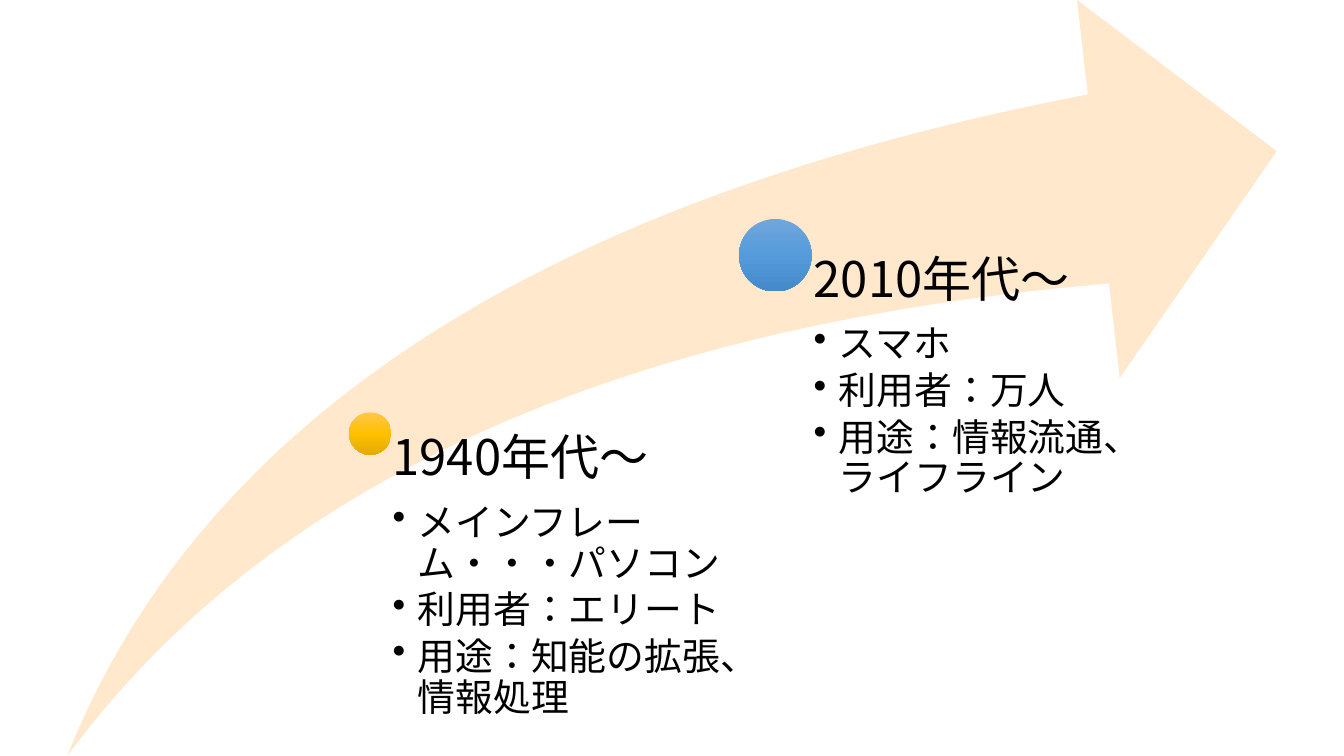
from copy import deepcopy
from pptx import Presentation
from pptx import util as u
from pptx.dml.color import RGBColor
from pptx.enum import lang, shapes, text
from pptx.oxml import ns, xmlchemy

THEME = {
    "font": "Noto Sans CJK JP",
    "ink": "000000",
    "arrow": "FFE8CC",
    "gold": ("FFC64B", "FFC000", "E3AB00"),
    "blue": ("71A6DB", "559BDB", "448ACA"),
    "head": 35,
    "item": 27,
}
WIDTH, HEIGHT = 960, 540
ARROW_WIDTH = 864
TEXT_WIDTH = 280.8
INDENT = 18

ERAS = [
    {"centre": (264.4, 309.7), "size": 30.24, "colours": THEME["gold"],
     "head": "1940年代～",
     "items": ["メインフレーム・・・パソコン", "利用者：エリート", "用途：知能の拡張、情報処理"]},
    {"centre": (553.8, 182.3), "size": 51.84, "colours": THEME["blue"],
     "head": "2010年代～",
     "items": ["スマホ", "利用者：万人", "用途：情報流通、ライフライン"]},
]


def add_plain_shape(kind, left, top, width, height):
    s = slide.shapes.add_shape(kind, u.Pt(left), u.Pt(top), u.Pt(width), u.Pt(height))
    s.shadow.inherit = False
    s.line.fill.background()
    return s


def add_line(p, content, size, gap):
    p.line_spacing = 0.9
    p.space_after = u.Pt(gap)
    r = p.add_run()
    r.text = content
    formats = {"name": THEME["font"], "size": u.Pt(size),
               "language_id": lang.MSO_LANGUAGE_ID.JAPANESE}
    for name, value in formats.items():
        setattr(r.font, name, value)
    r.font.color.rgb = RGBColor.from_string(THEME["ink"])
    ea = xmlchemy.OxmlElement("a:ea")
    ea.set("typeface", THEME["font"])
    r.font._element.find(ns.qn("a:latin")).addnext(ea)


prs = Presentation()
prs.slide_width, prs.slide_height = u.Pt(WIDTH), u.Pt(HEIGHT)
slide = prs.slides.add_slide(prs.slide_layouts[6])

arrow = add_plain_shape(shapes.MSO_SHAPE.SWOOSH_ARROW,
                        (WIDTH - ARROW_WIDTH) / 2, 0, ARROW_WIDTH, HEIGHT)
arrow.adjustments[0] = arrow.adjustments[1] = 0.25
arrow.fill.solid()
arrow.fill.fore_color.rgb = RGBColor.from_string(THEME["arrow"])

for era in ERAS:
    x, y = era["centre"]
    size = era["size"]
    dot = add_plain_shape(shapes.MSO_SHAPE.OVAL, x - size / 2, y - size / 2, size, size)
    dot.fill.gradient()
    dot.fill.gradient_angle = 270
    stops = dot._element.spPr.find(".//" + ns.qn("a:gsLst"))
    stops.insert(1, deepcopy(stops[0]))
    for i, (stop, colour) in enumerate(zip(dot.fill.gradient_stops, era["colours"])):
        stop.position = i / 2
        stop.color.rgb = RGBColor.from_string(colour)

    box = slide.shapes.add_textbox(u.Pt(x), u.Pt(y), u.Pt(TEXT_WIDTH), u.Pt(HEIGHT - y))
    tf = box.text_frame
    formats = {"word_wrap": True, "auto_size": text.MSO_AUTO_SIZE.NONE,
               "vertical_anchor": text.MSO_ANCHOR.TOP,
               "margin_left": u.Pt(size * 0.53), "margin_top": 0,
               "margin_right": 0, "margin_bottom": 0}
    for name, value in formats.items():
        setattr(tf, name, value)

    add_line(tf.paragraphs[0], era["head"], THEME["head"], THEME["head"] * 0.35)
    for item in era["items"]:
        p = tf.add_paragraph()
        p.level = 1
        pPr = p._p.get_or_add_pPr()
        pPr.set("marL", str(u.Pt(INDENT)))
        pPr.set("indent", str(u.Pt(-INDENT)))
        bullet = xmlchemy.OxmlElement("a:buChar")
        bullet.set("char", "•")
        pPr.append(bullet)
        add_line(p, item, THEME["item"], THEME["item"] * 0.15)

prs.save("out.pptx")
